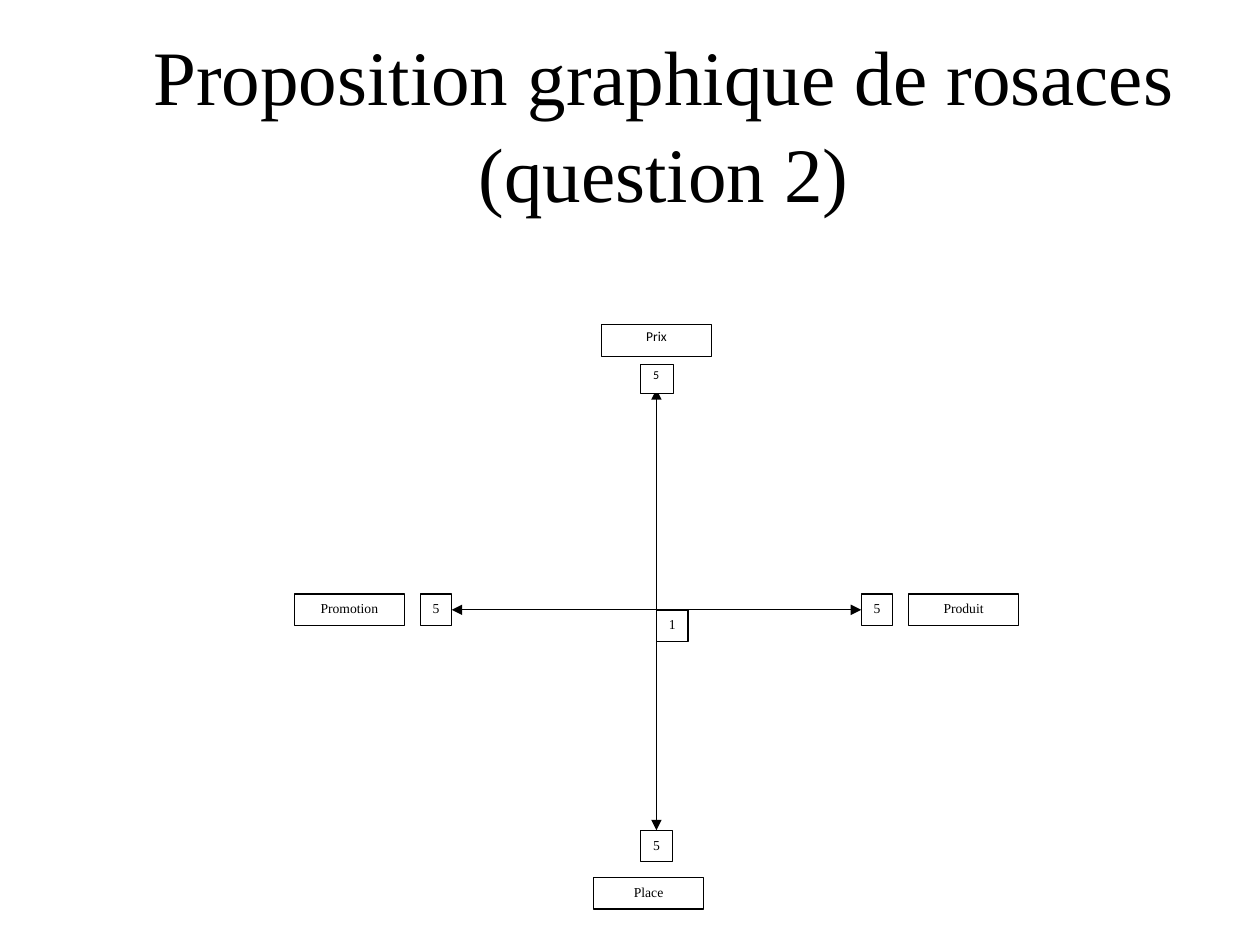
from dataclasses import dataclass

from lxml import etree
from pptx import Presentation
from pptx.dml.color import RGBColor
from pptx.enum.shapes import MSO_CONNECTOR, MSO_SHAPE
from pptx.enum.text import MSO_ANCHOR, MSO_AUTO_SIZE, PP_ALIGN
from pptx.oxml.ns import qn
from pptx.util import Inches, Pt

RECT, LINE = MSO_SHAPE.RECTANGLE, MSO_CONNECTOR.STRAIGHT
LEFT, MID = PP_ALIGN.LEFT, PP_ALIGN.CENTER
TOP, CENTER = MSO_ANCHOR.TOP, MSO_ANCHOR.MIDDLE
NO_FIT = MSO_AUTO_SIZE.NONE

INK = {"text": "000000", "line": "000000", "fill": "FFFFFF"}
SERIF, SANS = "Times New Roman", "Calibri"
WIDE, HIGH = 10, 7.5
UNIT = 0.125
HUB = (5.21, 4.84)
TIGHT = {"line_spacing": 0.8, "space_after": Pt(10)}


@dataclass
class Box:
    """A labelled box, placed in grid units from the hub."""
    name: str
    text: str
    col: float
    row: float
    wide: float = 2
    high: float = 2
    align: PP_ALIGN = LEFT
    face: str = SERIF
    size: float = 7.8
    tight: bool = False


@dataclass
class Arrow:
    """An axis from a start column to its end, with the box and side it joins."""
    start: float
    col: float
    row: float
    goal: str = ""
    side: int = 0


BOXES = [
    Box("hub", "1", 0, 0),
    Box("east", "5", 13, -1),
    Box("west", "5", -15, -1),
    Box("product", "Produit", 16, -1, 7, align=MID),
    Box("promo", "Promotion", -23, -1, 7, align=MID),
    Box("place", "Place", -4, 17, 7, align=MID),
    Box("south", "5", -1, 14),
    Box("price", "Prix", -3.5, -18.1, 7, 2, MID, SANS, 7.7, True),
    Box("north", "5", -1, -15.6, 2.1, 1.85, LEFT, SANS, 6.9, True),
]
ARROWS = [
    Arrow(-1, 13, 0, "east", 1),
    Arrow(0, 0, -14),
    Arrow(0, -13, 0, "west", 3),
    Arrow(0, 0, 14, "south", 0),
]


def color(key: str) -> RGBColor:
    """Look up a colour."""
    return RGBColor.from_string(INK[key])


def apply(item, form: dict) -> None:
    """Set each attribute of a format on an item."""
    for key, val in form.items():
        setattr(item, key, val)


def place(col: float, row: float) -> tuple:
    """Turn grid units from the hub into slide lengths."""
    return Inches(HUB[0] + col * UNIT), Inches(HUB[1] + row * UNIT)


def write(frame, text: str, face: str, size: float, form: dict) -> None:
    """Fill a text frame with one formatted paragraph."""
    frame.text = text
    para = frame.paragraphs[0]
    apply(para, form)
    apply(para.runs[0].font, {"name": face, "size": Pt(size)})
    para.runs[0].font.color.rgb = color("text")


def draw_box(slide, box: Box):
    """Draw a box with its label."""
    shape = slide.shapes.add_shape(
        RECT, *place(box.col, box.row),
        Inches(box.wide * UNIT), Inches(box.high * UNIT))
    shape.shadow.inherit = False
    shape.fill.solid()
    shape.fill.fore_color.rgb = color("fill")
    shape.line.color.rgb = color("line")
    shape.line.width = Pt(0.75)
    apply(shape.text_frame, {"vertical_anchor": TOP, "word_wrap": True})
    form = {"alignment": box.align, **(TIGHT if box.tight else {})}
    write(shape.text_frame, box.text, box.face, box.size, form)
    return shape


def draw_arrow(slide, arrow: Arrow):
    """Draw an axis with a triangle at its end."""
    link = slide.shapes.add_connector(
        LINE, *place(arrow.start, 0), *place(arrow.col, arrow.row))
    link.line.color.rgb = color("line")
    link.line.width = Pt(0.75)
    etree.SubElement(link.line._get_or_add_ln(), qn("a:tailEnd"), type="triangle")
    etree.SubElement(link._element.spPr, qn("a:effectLst"))
    return link


def draw_title(slide, text: str) -> None:
    """Place and format the title."""
    title = slide.shapes.title
    apply(title, {"left": Inches(0.102 * WIDE), "top": Inches(0.045 * HIGH),
                  "width": Inches(0.85 * WIDE), "height": Inches(HIGH / 6)})
    frame = title.text_frame
    apply(frame, {"auto_size": NO_FIT, "vertical_anchor": CENTER, "word_wrap": True})
    write(frame, text, SERIF, 44, {"alignment": MID, "line_spacing": 1.05})


def main() -> None:
    """Build the slide."""
    deck = Presentation()
    apply(deck, {"slide_width": Inches(WIDE), "slide_height": Inches(HIGH)})
    slide = deck.slides.add_slide(deck.slide_layouts[5])
    draw_title(slide, "Proposition graphique de rosaces (question 2)")
    links = [draw_arrow(slide, arrow) for arrow in ARROWS]
    shapes = {box.name: draw_box(slide, box) for box in BOXES}
    for arrow, link in zip(ARROWS, links):
        if arrow.goal:
            link.end_connect(shapes[arrow.goal], arrow.side)
    deck.save("out.pptx")


if __name__ == "__main__":
    main()
